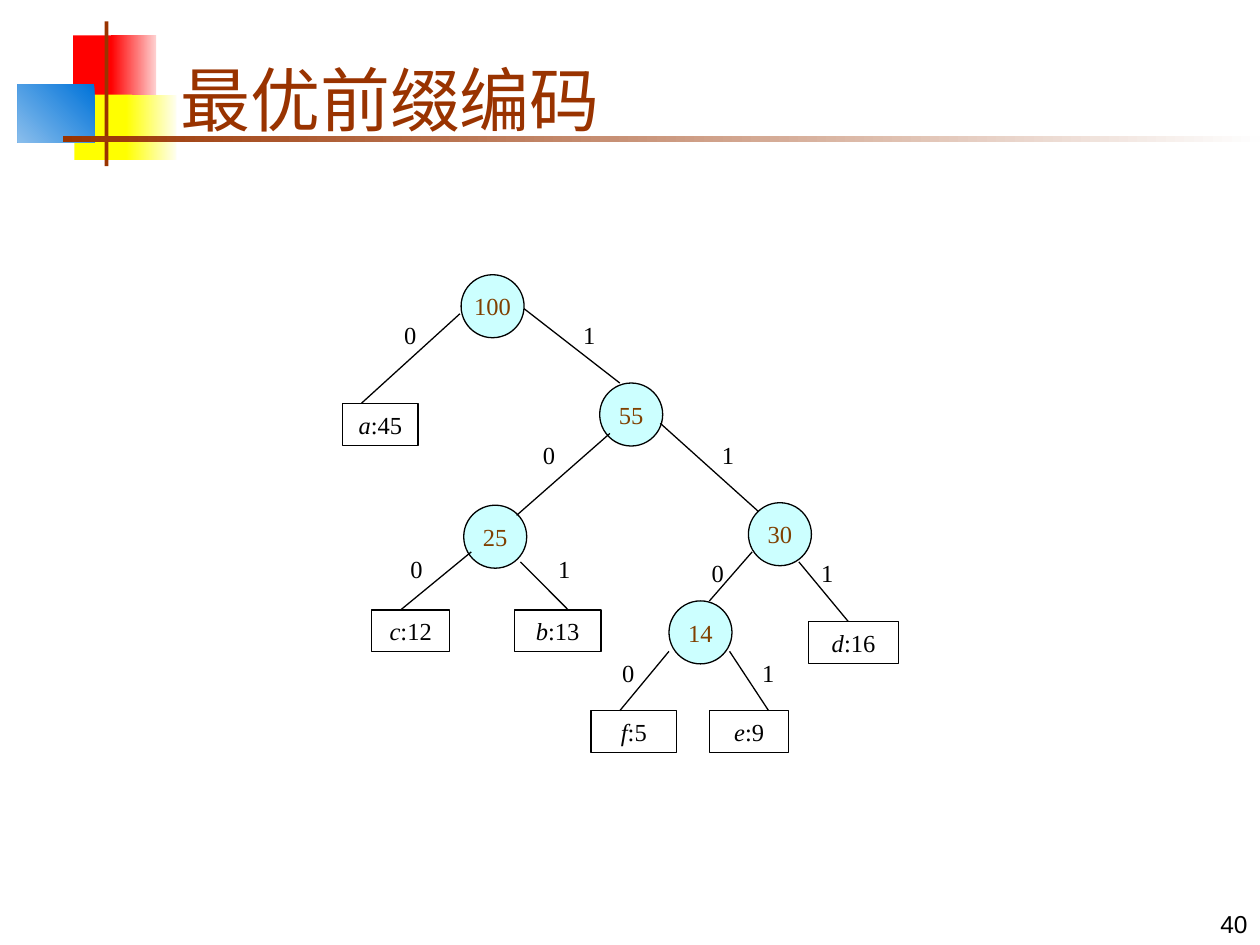
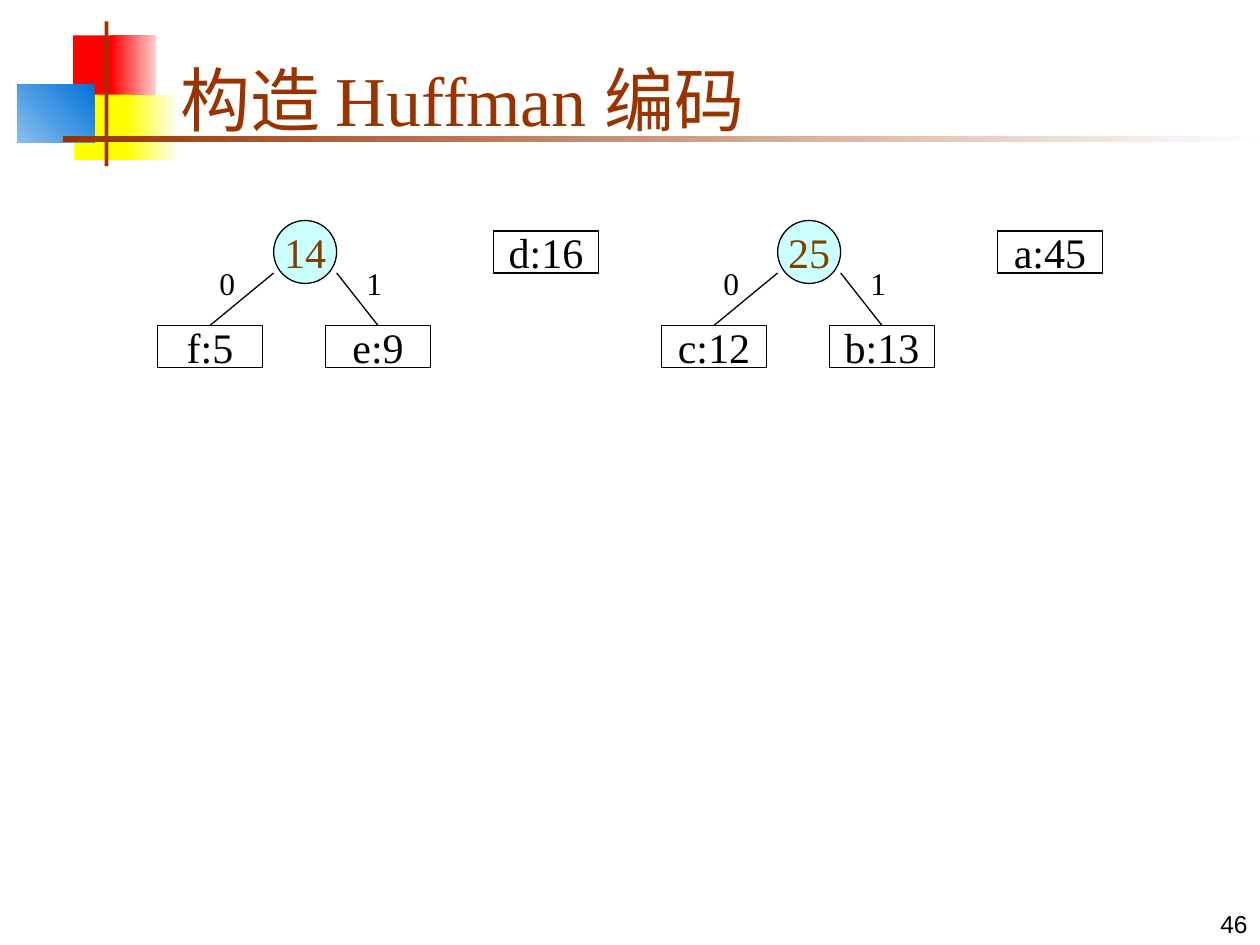
from lxml import etree
from pptx import Presentation
from pptx.dml.color import RGBColor
from pptx.enum import shapes as sh, text as tx
from pptx.oxml.ns import qn
from pptx.util import Pt

HUE = {
    "red": "FF0000", "pink": "FED0D0", "yellow": "FFFF00", "cream": "FEFEEF",
    "blue": "0073D9", "sky": "8ABEEC", "rust": "993300", "white": "FEFEFE",
    "node": "CCFFFF", "brown": "804000", "black": "000000",
}
SERIF, SANS = "Times New Roman", "Arial"
RECT, OVAL = sh.MSO_SHAPE.RECTANGLE, sh.MSO_SHAPE.OVAL
NODE, LEAF = 36, 24

BANDS = [
    (41.8, 20.2, 25.2, 37.4, ["red"], 0),
    (63.4, 20.2, 25.9, 37.4, ["red", "pink"], 0),
    (42.5, 54, 33.1, 37.4, ["yellow"], 0),
    (72, 54, 28.8, 37.4, ["yellow", "cream"], 0),
    (10.1, 48.2, 43.9, 33.1, ["blue", "sky"], 225),
    (59.8, 12.2, 2.2, 82.8, ["rust"], 0),
    (36, 77.8, 684, 3.6, ["rust", "white"], 0),
]

NODES = [("100", 263.5, 157), ("55", 342.7, 218.9), ("25", 265, 288.7),
         ("30", 427.7, 287.3), ("14", 382.3, 343.4)]
LEAVES = [("a:45", 195.8, 230.4, 43.2), ("c:12", 212.4, 348.5, 44.6),
          ("b:13", 293.8, 348.5, 49.7), ("d:16", 462.2, 355, 51.1),
          ("f:5", 337.7, 406.1, 49), ("e:9", 405.4, 406.1, 45.4)]
EDGES = [
    ("0", (206.6, 230.4), (262.8, 179.3), (223.9, 179.3)),
    ("1", (354.2, 218.9), (299.5, 176.4), (326.2, 179.3)),
    ("0", (295.2, 294.5), (348.5, 247.7), (303.1, 247.7)),
    ("1", (433.4, 292.3), (377.3, 241.9), (405.4, 247.7)),
    ("0", (229, 348.5), (269.3, 315.4), (227.5, 313.2)),
    ("1", (324.7, 348.5), (297.4, 321.1), (311.8, 313.2)),
    ("0", (405.4, 343.4), (429.8, 315.4), (399.6, 315.4)),
    ("1", (484.6, 355), (456.5, 321.1), (462.2, 315.4)),
    ("0", (354.2, 406.1), (382.3, 372.2), (348.5, 372.2)),
    ("1", (439.2, 406.1), (416.9, 372.2), (428.4, 372.2)),
]


def rgb(name):
    return RGBColor.from_string(HUE[name])


def style(par, size, hue="black", face=SERIF, align=tx.PP_ALIGN.LEFT):
    par.alignment = align
    par.font.size = Pt(size)
    par.font.name = face
    par.font.color.rgb = rgb(hue)


def band(slide, x, y, w, h, hues, angle):
    box = slide.shapes.add_shape(RECT, Pt(x), Pt(y), Pt(w), Pt(h))
    box.shadow.inherit = False
    box.line.fill.background()
    if len(hues) == 1:
        box.fill.solid()
        box.fill.fore_color.rgb = rgb(hues[0])
    else:
        box.fill.gradient()
        box.fill.gradient_angle = angle
        for stop, hue in zip(box.fill.gradient_stops, hues):
            stop.color.rgb = rgb(hue)
    return box


def brand(slide):
    tree = slide.slide_layout.shapes.element
    for spec_row in BANDS:
        tree.append(band(slide, *spec_row).element)


def head(slide, words, number):
    title = slide.shapes.title
    title.left, title.top, title.width, title.height = map(Pt, (95.8, 18, 613.4, 66.2))
    frame = title.text_frame
    frame.text = words
    frame.auto_size = tx.MSO_AUTO_SIZE.NONE
    frame.vertical_anchor = tx.MSO_ANCHOR.BOTTOM
    style(frame.paragraphs[0], 40, "rust")
    foot = slide.shapes.add_textbox(Pt(570), Pt(504), Pt(150), Pt(36)).text_frame
    foot.word_wrap = True
    foot.vertical_anchor = tx.MSO_ANCHOR.BOTTOM
    foot.text = str(number)
    style(foot.paragraphs[0], 14, face=SANS, align=tx.PP_ALIGN.RIGHT)


def shape(slide, kind, x, y, w, h, size, hue):
    item = slide.shapes.add_shape(kind, Pt(x), Pt(y), Pt(w), Pt(h))
    item.shadow.inherit = False
    item.line.color.rgb = rgb("black")
    item.line.width = Pt(0.75)
    item.text_frame.word_wrap = False
    item.text_frame.vertical_anchor = tx.MSO_ANCHOR.MIDDLE
    style(item.text_frame.paragraphs[0], size, hue, align=tx.PP_ALIGN.CENTER)
    return item


def node(slide, words, x, y, size):
    item = shape(slide, OVAL, x, y, NODE, NODE, size, "brown")
    item.fill.solid()
    item.fill.fore_color.rgb = rgb("node")
    item.text_frame.paragraphs[0].add_run().text = words


def leaf(slide, words, x, y, w, size, slant=False):
    item = shape(slide, RECT, x, y, w, LEAF, size, "black")
    item.fill.background()
    par = item.text_frame.paragraphs[0]
    if slant:
        first = par.add_run()
        first.text, words = words[0], words[1:]
        first.font.italic = True
    par.add_run().text = words


def edge(slide, bit, start, end, spot, size):
    line = slide.shapes.add_connector(sh.MSO_CONNECTOR.STRAIGHT, *map(Pt, start + end))
    line.line.color.rgb = rgb("black")
    line.line.width = Pt(0.75)
    etree.SubElement(line.element.spPr, qn("a:effectLst"))
    label = slide.shapes.add_textbox(*map(Pt, spot), Pt(size + 7.2), Pt(size * 1.2 + 7.2))
    frame = label.text_frame
    frame.word_wrap = False
    frame.auto_size = tx.MSO_AUTO_SIZE.SHAPE_TO_FIT_TEXT
    frame.text = bit
    style(frame.paragraphs[0], size)


def pair(slide, x, total, left, right):
    leaf(slide, left, x, 186, 60, 24)
    leaf(slide, right, x + 96, 186, 60, 24)
    node(slide, total, x + 66.4, 126, 24)
    edge(slide, "0", (x + 30, 186), (x + 66.4, 156), (x + 28.3, 147.6), 18)
    edge(slide, "1", (x + 126, 186), (x + 102.4, 156), (x + 112.3, 147.6), 18)


def main():
    deck = Presentation()
    deck.slide_width, deck.slide_height = Pt(720), Pt(540)
    layout = deck.slide_layouts[5]

    code = deck.slides.add_slide(layout)
    brand(code)
    head(code, "最优前缀编码", 40)
    for item in LEAVES:
        leaf(code, *item, 14, True)
    for item in NODES:
        node(code, *item, 14)
    for item in EDGES:
        edge(code, *item, 14)

    build = deck.slides.add_slide(layout)
    head(build, "构造 Huffman 编码", 46)
    pair(build, 90, "14", "f:5", "e:9")
    pair(build, 378, "25", "c:12", "b:13")
    for words, x in (("d:16", 282), ("a:45", 570)):
        leaf(build, words, x, 132, 60, 24)

    deck.save("out.pptx")


if __name__ == "__main__":
    main()
